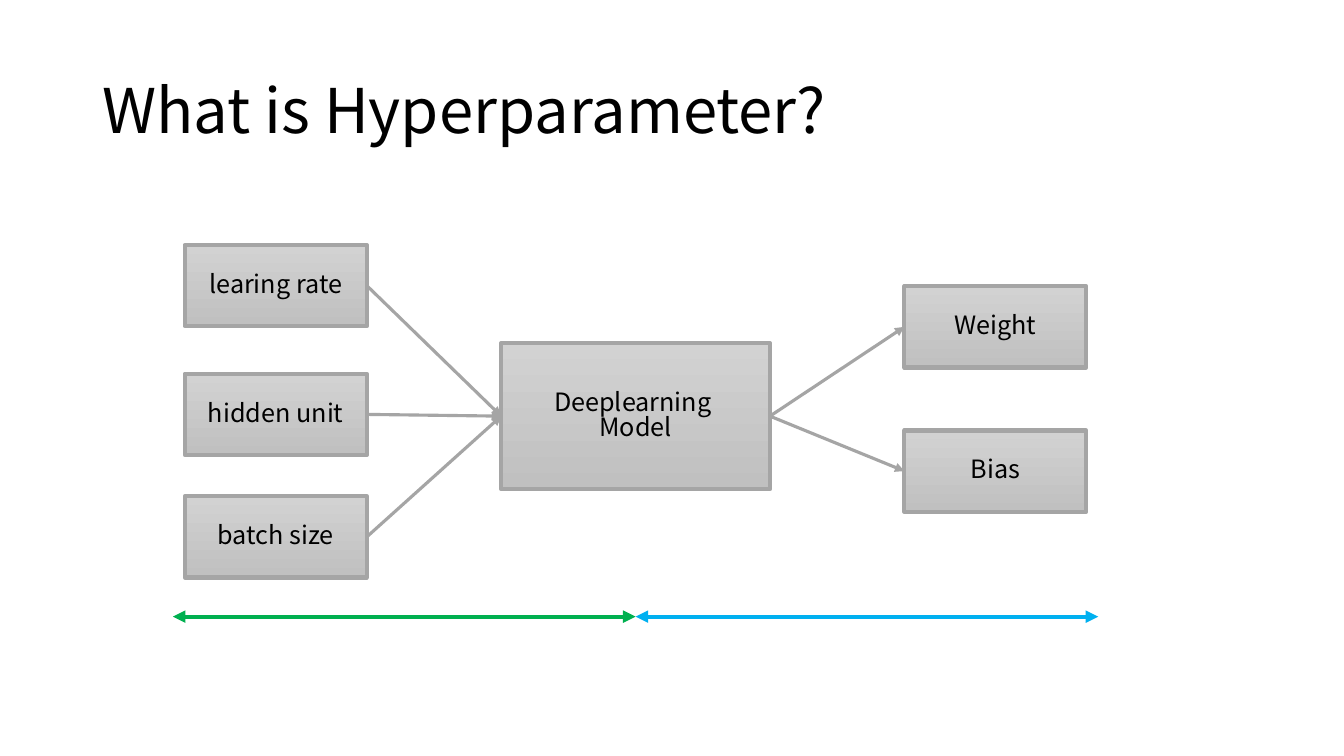
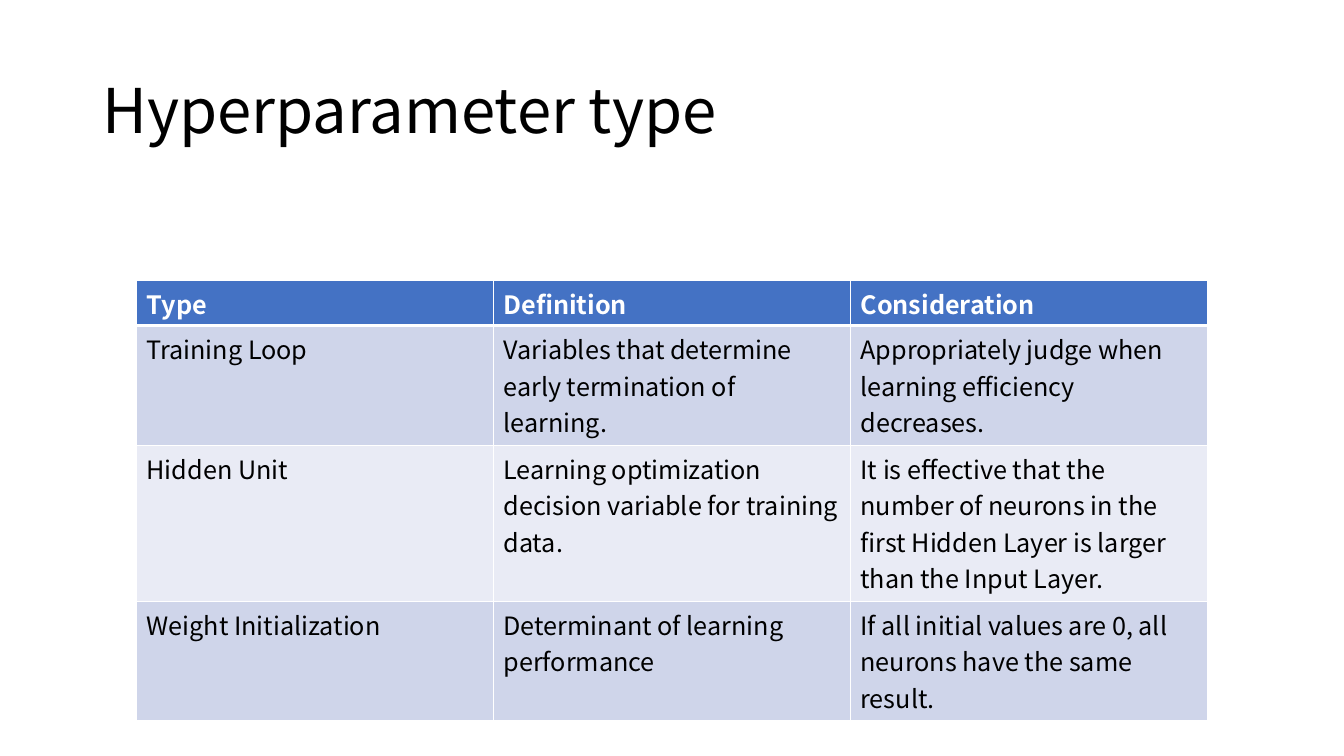
from pptx import Presentation
from pptx.dml.color import RGBColor
from pptx.enum.shapes import MSO_CONNECTOR as Connector, MSO_SHAPE as Shape
from pptx.enum.text import MSO_ANCHOR as Anchor, PP_ALIGN as Align
from pptx.oxml.ns import qn
from pptx.util import Pt
from lxml.etree import SubElement

# Content
TITLES = ["What is Hyperparameter?", "Hyperparameter type"]
MODEL = ["Deeplearning ", "Model"]
HYPERPARAMETERS = [("learing rate", 175), ("hidden unit", 267), ("batch size", 354.5)]
PARAMETERS = [("Weight", 204.5), ("Bias", 307.5)]
TYPES = [
    ("Type", "Definition", "Consideration"),
    ("Training Loop", "Variables that determine early termination of learning.",
     "Appropriately judge when learning efficiency decreases."),
    ("Hidden Unit", "Learning optimization decision variable for training data.",
     "It is effective that the number of neurons in the first Hidden Layer "
     "is larger than the Input Layer."),
    ("Weight Initialization", "Determinant of learning performance",
     "If all initial values are 0, all neurons have the same result."),
]

# Shared style
FONT = "Noto Sans CJK KR"
COLORS = {
    "text": "000000", "white": "FFFFFF", "gray": "A5A5A5",
    "box_top": "D2D2D2", "box_bottom": "C0C0C0",
    "inputs": "00B050", "outputs": "00B0F0",
    "header": "4472C4", "odd_row": "CFD5EA", "even_row": "E9EBF5",
}

# Layout in points
SLIDE_W, SLIDE_H = 960, 540
MODEL_X, MODEL_Y, MODEL_W, MODEL_H = 358, 245, 192, 104.5
BOX_W, BOX_H, GAP = 130, 58, 96
SPAN_Y, SPAN_W = 440.5, 330.5
TABLE_X, TABLE_Y, COLUMN_W = 97.5, 200.5, 255
ROW_HEIGHTS = [32, 85.5, 111.5, 85]


def rgb(name):
    return RGBColor.from_string(COLORS[name])


def write(frame, text, size=18, color="text", bold=False, align=Align.LEFT,
          anchor=Anchor.MIDDLE, spacing=None):
    """Fill a text frame with one paragraph per line of text."""
    frame.word_wrap = True
    frame.vertical_anchor = anchor
    for i, line in enumerate([text] if isinstance(text, str) else text):
        paragraph = frame.add_paragraph() if i else frame.paragraphs[0]
        paragraph.alignment = align
        if spacing:
            paragraph.line_spacing = spacing
        run = paragraph.add_run()
        run.text = line
        run.font.name, run.font.size, run.font.bold = FONT, Pt(size), bold
        run.font.color.rgb = rgb(color)


def add_titled_slide(deck, title):
    slide = deck.slides.add_slide(deck.slide_layouts[6])
    title_box = slide.shapes.add_textbox(Pt(66), Pt(28.75), Pt(828), Pt(104.5))
    write(title_box.text_frame, title, size=44, spacing=0.9)
    return slide


def add_box(slide, text, x, y, w=BOX_W, h=BOX_H):
    box = slide.shapes.add_shape(Shape.RECTANGLE, Pt(x), Pt(y), Pt(w), Pt(h))
    box.shadow.inherit = False
    box.fill.gradient()
    box.fill.gradient_angle = 270
    for stop, color in zip(box.fill.gradient_stops, ("box_top", "box_bottom")):
        stop.color.rgb = rgb(color)
    box.line.color.rgb = rgb("gray")
    box.line.width = Pt(3)
    write(box.text_frame, text, align=Align.CENTER, spacing=0.85)
    return box


def add_arrow(slide, color, width, ends, points=(0, 0, 0, 0)):
    arrow = slide.shapes.add_connector(Connector.STRAIGHT, *map(Pt, points))
    arrow.line.color.rgb = rgb(color)
    arrow.line.width = Pt(width)
    for end in ends:
        SubElement(arrow.line._get_or_add_ln(), qn(f"a:{end}"), type="triangle")
    SubElement(arrow._element.spPr, qn("a:effectLst"))
    return arrow


def join(slide, source, target):
    arrow = add_arrow(slide, "gray", 2.25, ["tailEnd"])
    arrow.begin_connect(source, 3)
    arrow.end_connect(target, 1)


def set_borders(cell, bottom):
    properties = cell._tc.get_or_add_tcPr()
    widths = {"lnL": 1, "lnR": 1, "lnT": 1, "lnB": bottom}
    for i, (side, width) in enumerate(widths.items()):
        line = properties.makeelement(qn(f"a:{side}"), {"w": str(Pt(width))})
        fill = SubElement(line, qn("a:solidFill"))
        SubElement(fill, qn("a:srgbClr"), val=COLORS["white"])
        properties.insert(i, line)


def build_diagram(slide):
    model = add_box(slide, MODEL, MODEL_X, MODEL_Y, MODEL_W, MODEL_H)
    for text, y in HYPERPARAMETERS:
        join(slide, add_box(slide, text, MODEL_X - GAP - BOX_W, y), model)
    for text, y in PARAMETERS:
        join(slide, model, add_box(slide, text, MODEL_X + MODEL_W + GAP, y))

    # Spans of the inputs and outputs, meeting under the model
    middle = MODEL_X + MODEL_W / 2
    for color, start in (("outputs", middle), ("inputs", middle - SPAN_W)):
        add_arrow(slide, color, 3, ["headEnd", "tailEnd"],
                  (start, SPAN_Y, start + SPAN_W, SPAN_Y))


def build_table(slide):
    rows, columns = len(TYPES), len(TYPES[0])
    table = slide.shapes.add_table(rows, columns, Pt(TABLE_X), Pt(TABLE_Y),
                                   Pt(COLUMN_W * columns), Pt(sum(ROW_HEIGHTS))).table
    for column in table.columns:
        column.width = Pt(COLUMN_W)
    for r, texts in enumerate(TYPES):
        header = r == 0
        table.rows[r].height = Pt(ROW_HEIGHTS[r])
        fill = "header" if header else "odd_row" if r % 2 else "even_row"
        for c, text in enumerate(texts):
            cell = table.cell(r, c)
            cell.fill.solid()
            cell.fill.fore_color.rgb = rgb(fill)
            set_borders(cell, bottom=3 if header else 1)
            write(cell.text_frame, text, bold=header, anchor=Anchor.TOP,
                  color="white" if header else "text")


def main():
    deck = Presentation()
    deck.slide_width, deck.slide_height = Pt(SLIDE_W), Pt(SLIDE_H)
    for title, build in zip(TITLES, (build_diagram, build_table)):
        build(add_titled_slide(deck, title))
    deck.save("out.pptx")


if __name__ == "__main__":
    main()
